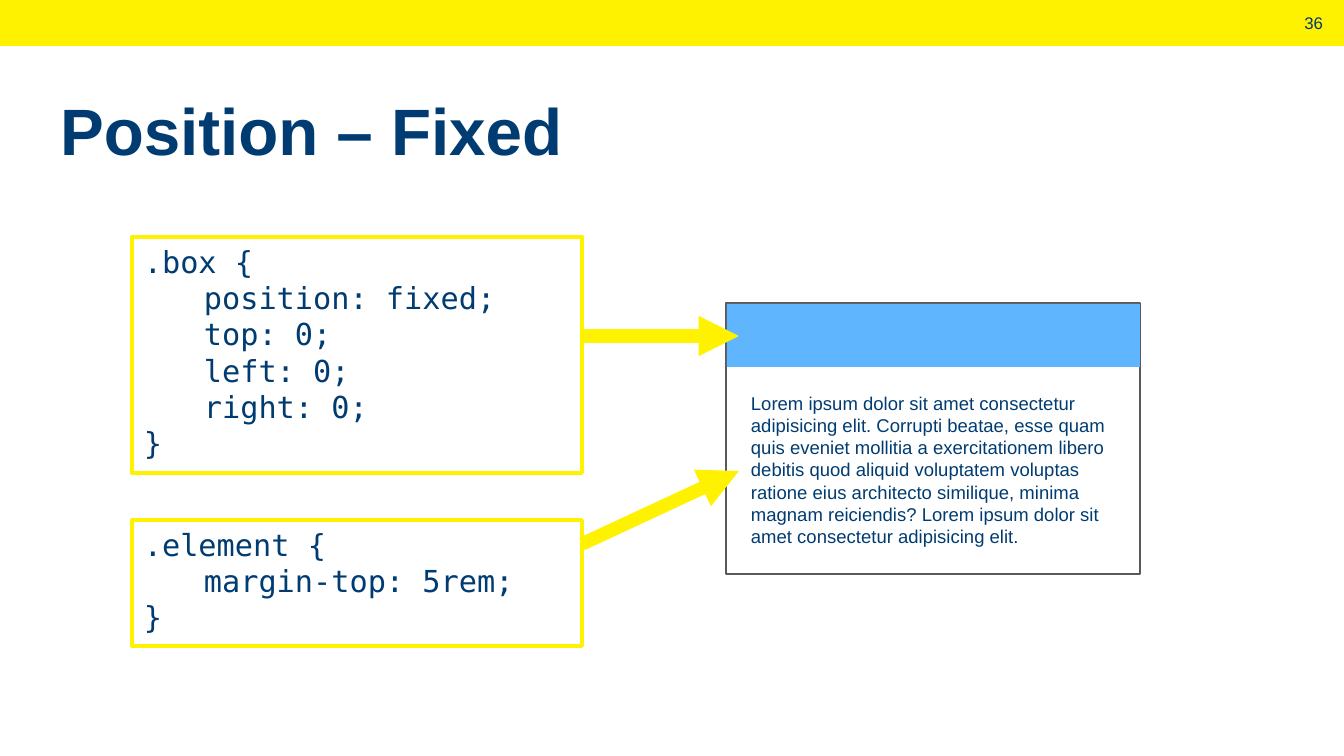
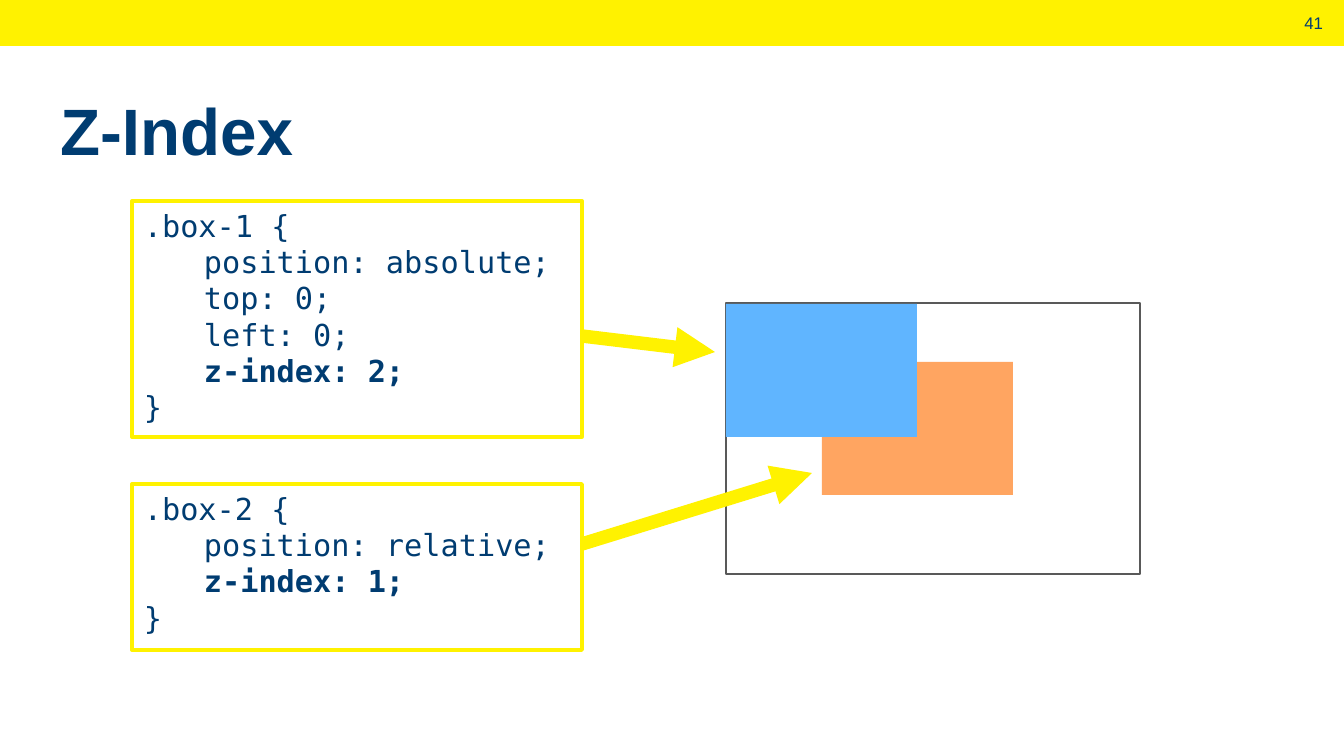
from dataclasses import dataclass

from lxml import etree
from pptx import Presentation
from pptx.dml.color import RGBColor
from pptx.enum.shapes import MSO_CONNECTOR, MSO_SHAPE
from pptx.enum.text import MSO_ANCHOR, MSO_AUTO_SIZE, PP_ALIGN
from pptx.oxml.ns import qn
from pptx.util import Emu, Pt

RECTANGLE = MSO_SHAPE.RECTANGLE
STRAIGHT = MSO_CONNECTOR.STRAIGHT
TOP, MIDDLE, BOTTOM = MSO_ANCHOR.TOP, MSO_ANCHOR.MIDDLE, MSO_ANCHOR.BOTTOM
LEFT, RIGHT = PP_ALIGN.LEFT, PP_ALIGN.RIGHT
NO_AUTOSIZE = MSO_AUTO_SIZE.NONE

PX_PER_INCH = 121
SLIDE_WIDTH, SLIDE_HEIGHT = 1344, 756
TITLE_ONLY = 5

YELLOW = "FFF200"
NAVY = "003C71"
GREY = "595959"
BLUE = "60B5FF"
ORANGE = "FFA561"
SANS = "Arial"
MONO = "DejaVu Sans Mono"

CODE_LEFT, CODE_WIDTH = 132, 450
CODE_RIGHT = CODE_LEFT + CODE_WIDTH
TAB_STOP = 60
LINE_HEIGHT = 1.2


@dataclass(frozen=True)
class Box:
    left: int
    top: int
    width: int
    height: int


@dataclass(frozen=True)
class Block:
    box: Box
    color: str


@dataclass(frozen=True)
class Rule:
    selector: str
    declarations: tuple[str, ...]
    top: int
    height: int
    arrow_start_y: int
    arrow_end: tuple[int, int]
    bold: str = ""


@dataclass(frozen=True)
class Example:
    number: int
    title: str
    blocks: tuple[Block, ...]
    rules: tuple[Rule, ...]
    page_text: str = ""


BAND = Box(0, 0, SLIDE_WIDTH, 46)
NUMBER = Box(1287, 7, 48, 31)
TITLE = Box(48, 83, 1119, 86)
BROWSER = Box(726, 303, 414, 271)
PAGE_TEXT = Box(739, 386, 388, 169)

EXAMPLES = (
    Example(
        36,
        "Position – Fixed",
        (Block(Box(727, 304, 413, 63), BLUE),),
        (
            Rule(
                ".box",
                ("position: fixed;", "top: 0;", "left: 0;", "right: 0;"),
                237, 236, 336, (739, 336),
            ),
            Rule(".element", ("margin-top: 5rem;",), 520, 126, 544, (739, 471)),
        ),
        "Lorem ipsum dolor sit amet consectetur adipisicing elit. Corrupti beatae, "
        "esse quam quis eveniet mollitia a exercitationem libero debitis quod aliquid "
        "voluptatem voluptas ratione eius architecto similique, minima magnam "
        "reiciendis? Lorem ipsum dolor sit amet consectetur adipisicing elit.",
    ),
    Example(
        41,
        "Z-Index",
        (
            Block(Box(822, 362, 191, 133), ORANGE),
            Block(Box(726, 304, 191, 133), BLUE),
        ),
        (
            Rule(
                ".box-1",
                ("position: absolute;", "top: 0;", "left: 0;", "z-index: 2;"),
                201, 236, 336, (715, 352), "z-index: 2;",
            ),
            Rule(
                ".box-2",
                ("position: relative;", "z-index: 1;"),
                484, 166, 544, (812, 473), "z-index: 1;",
            ),
        ),
    ),
)


def px(value: int) -> Emu:
    return Emu(round(value * 914400 / PX_PER_INCH))


def rgb(color: str) -> RGBColor:
    return RGBColor.from_string(color)


def bounds(box: Box) -> tuple[Emu, Emu, Emu, Emu]:
    return px(box.left), px(box.top), px(box.width), px(box.height)


def style_text(paragraph, size: int, font: str = SANS, bold: bool = False) -> None:
    paragraph.font.name = font
    paragraph.font.size = Pt(size)
    paragraph.font.bold = bold
    paragraph.font.color.rgb = rgb(NAVY)


def prepare_frame(shape, anchor):
    frame = shape.text_frame
    frame.word_wrap = True
    frame.auto_size = NO_AUTOSIZE
    frame.vertical_anchor = anchor
    return frame


def add_rectangle(slide, box: Box, fill: str = "", line: str = "", width: float = 1):
    shape = slide.shapes.add_shape(RECTANGLE, *bounds(box))
    shape.shadow.inherit = False
    if fill:
        shape.fill.solid()
        shape.fill.fore_color.rgb = rgb(fill)
    else:
        shape.fill.background()
    if line:
        shape.line.color.rgb = rgb(line)
        shape.line.width = Pt(width)
    else:
        shape.line.fill.background()
    return shape


def add_text(slide, box: Box, text: str, size: int, anchor=TOP, alignment=LEFT):
    frame = prepare_frame(slide.shapes.add_textbox(*bounds(box)), anchor)
    paragraph = frame.paragraphs[0]
    paragraph.text = text
    paragraph.alignment = alignment
    paragraph.line_spacing = Pt(size * LINE_HEIGHT)
    style_text(paragraph, size)


def set_title(slide, text: str) -> None:
    title = slide.shapes.title
    title.left, title.top, title.width, title.height = bounds(TITLE)
    frame = prepare_frame(title, BOTTOM)
    frame.margin_bottom = 0
    paragraph = frame.paragraphs[0]
    paragraph.text = text
    paragraph.alignment = LEFT
    style_text(paragraph, 39, bold=True)


def add_code(slide, rule: Rule) -> None:
    box = Box(CODE_LEFT, rule.top, CODE_WIDTH, rule.height)
    frame = prepare_frame(add_rectangle(slide, box, line=YELLOW, width=2.25), TOP)
    paragraph = frame.paragraphs[0]
    paragraph.alignment = LEFT
    paragraph.line_spacing = Pt(18 * LINE_HEIGHT)
    paragraph.space_after = Pt(12)
    tabs = etree.SubElement(paragraph._p.get_or_add_pPr(), qn("a:tabLst"))
    etree.SubElement(tabs, qn("a:tab"), pos=str(px(TAB_STOP)), algn="l")
    style_text(paragraph, 18, MONO)
    paragraph.add_run().text = f"{rule.selector} {{"
    for declaration in rule.declarations:
        paragraph.add_line_break()
        run = paragraph.add_run()
        run.text = f"\t{declaration}"
        if declaration == rule.bold:
            run.font.bold = True
    paragraph.add_line_break()
    paragraph.add_run().text = "}"


def add_arrow(slide, rule: Rule) -> None:
    end_x, end_y = rule.arrow_end
    arrow = slide.shapes.add_connector(
        STRAIGHT, px(CODE_RIGHT), px(rule.arrow_start_y), px(end_x), px(end_y)
    )
    arrow.line.color.rgb = rgb(YELLOW)
    arrow.line.width = Pt(8)
    etree.SubElement(arrow.line._get_or_add_ln(), qn("a:tailEnd"), type="triangle")
    etree.SubElement(arrow._element.spPr, qn("a:effectLst"))


def add_example(presentation, example: Example) -> None:
    slide = presentation.slides.add_slide(presentation.slide_layouts[TITLE_ONLY])
    add_rectangle(slide, BAND, fill=YELLOW)
    add_text(slide, NUMBER, str(example.number), 10, MIDDLE, RIGHT)
    set_title(slide, example.title)
    add_rectangle(slide, BROWSER, line=GREY)
    if example.page_text:
        add_text(slide, PAGE_TEXT, example.page_text, 11)
    for block in example.blocks:
        add_rectangle(slide, block.box, fill=block.color)
    for rule in example.rules:
        add_code(slide, rule)
        add_arrow(slide, rule)


def main() -> None:
    presentation = Presentation()
    presentation.slide_width = px(SLIDE_WIDTH)
    presentation.slide_height = px(SLIDE_HEIGHT)
    for example in EXAMPLES:
        add_example(presentation, example)
    presentation.save("out.pptx")


if __name__ == "__main__":
    main()
